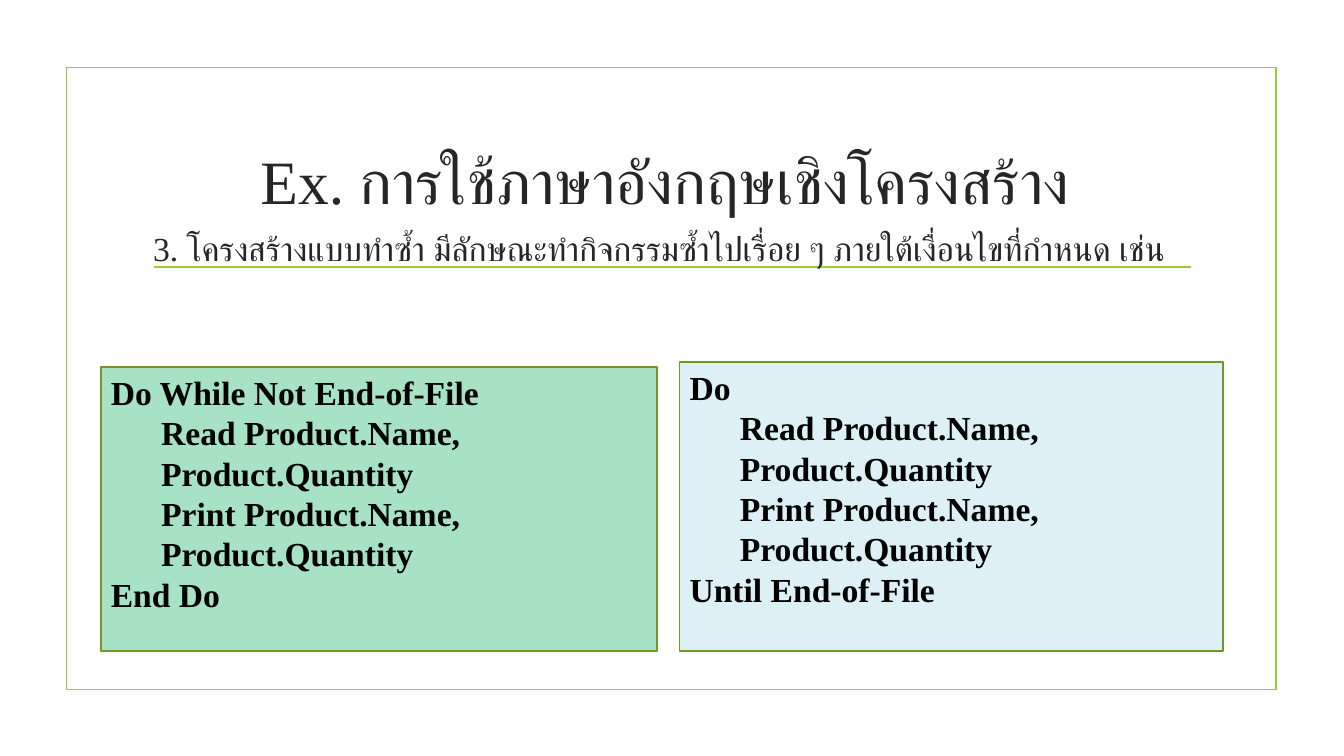
import pptx
import pptx.util
import pptx.dml.color
import pptx.enum.shapes
import pptx.enum.text
import pptx.oxml
import pptx.oxml.ns

Inches, Pt = pptx.util.Inches, pptx.util.Pt
SHAPE = pptx.enum.shapes.MSO_SHAPE
ALIGN = pptx.enum.text.PP_ALIGN
ANCHOR = pptx.enum.text.MSO_ANCHOR
FONT = "Times New Roman"
GREEN, OLIVE, INK = "99CB38", "719629", "262626"


def paint(color, code):
    color.rgb = pptx.dml.color.RGBColor.from_string(code)


def write(para, text, code, **form):
    """Fill a paragraph with one run, using the same font for Latin and Thai."""
    run = para.add_run()
    run.text = text
    for key, value in {"name": FONT, **form}.items():
        setattr(run.font, key, value)
    paint(run.font.color, code)
    thai = pptx.oxml.parse_xml(
        f'<a:cs {pptx.oxml.ns.nsdecls("a")} typeface="{FONT}"/>')
    run.font._element.append(thai)


deck = pptx.Presentation()
deck.slide_width, deck.slide_height = Inches(13.33), Inches(7.5)
slide = deck.slides.add_slide(deck.slide_layouts[6])
shapes = slide.shapes

# Frame and rule
frame = shapes.add_shape(SHAPE.RECTANGLE, Inches(0.66), Inches(0.67),
                         Inches(12), Inches(6.17))
frame.shadow.inherit = False
frame.fill.background()
rule = shapes.add_connector(pptx.enum.shapes.MSO_CONNECTOR.STRAIGHT,
                            Inches(1.53), Inches(2.65),
                            Inches(11.81), Inches(2.65))
rule._element.spPr.append(
    pptx.oxml.parse_xml(f'<a:effectLst {pptx.oxml.ns.nsdecls("a")}/>'))
for item in (frame, rule):
    paint(item.line.color, GREEN)
    item.line.width = Pt(1.25)

# Title and lead
heads = [
    ("Ex. การใช้ภาษาอังกฤษเชิงโครงสร้าง ", 44, 1.07, 1.43,
     ANCHOR.MIDDLE, ALIGN.CENTER),
    ("3. โครงสร้างแบบทำซ้ำ มีลักษณะทำกิจกรรมซ้ำไปเรื่อย ๆ ภายใต้เงื่อนไขที่กำหนด เช่น",
     24, 2.21, 3.63, ANCHOR.TOP, ALIGN.LEFT),
]
for text, size, top, height, anchor, align in heads:
    box = shapes.add_textbox(Inches(1.42), Inches(top),
                             Inches(10.5), Inches(height))
    frame = box.text_frame
    frame.word_wrap = True
    frame.vertical_anchor = anchor
    para = frame.paragraphs[0]
    para.alignment = align
    write(para, text, INK, size=Pt(size))

# Loop panels: the shared body is indented between the opening and closing lines
body = ["Read Product.Name,", "Product.Quantity",
        "Print Product.Name,", "Product.Quantity"]
panels = [
    ("Do While Not End-of-File", "End Do", "A8E2C5", 1, 3.64, 5.52),
    ("Do", "Until End-of-File", "DCF0F5", 6.74, 3.59, 5.39),
]
for first, last, fill, left, top, width in panels:
    panel = shapes.add_shape(SHAPE.RECTANGLE, Inches(left), Inches(top),
                             Inches(width), Inches(6.46 - top))
    panel.shadow.inherit = False
    panel.fill.solid()
    paint(panel.fill.fore_color, fill)
    paint(panel.line.color, OLIVE)
    panel.line.width = Pt(1.25)
    frame = panel.text_frame
    frame.word_wrap = True
    frame.vertical_anchor = ANCHOR.TOP
    lines = [first, *body, last]
    for row, text in enumerate(lines):
        para = frame.add_paragraph() if row else frame.paragraphs[0]
        para.alignment = ALIGN.LEFT
        if 0 < row < len(lines) - 1:
            para._p.get_or_add_pPr().set("marL", str(Inches(0.5)))
        write(para, text, "000000", size=Pt(24), bold=True)

deck.save("out.pptx")
